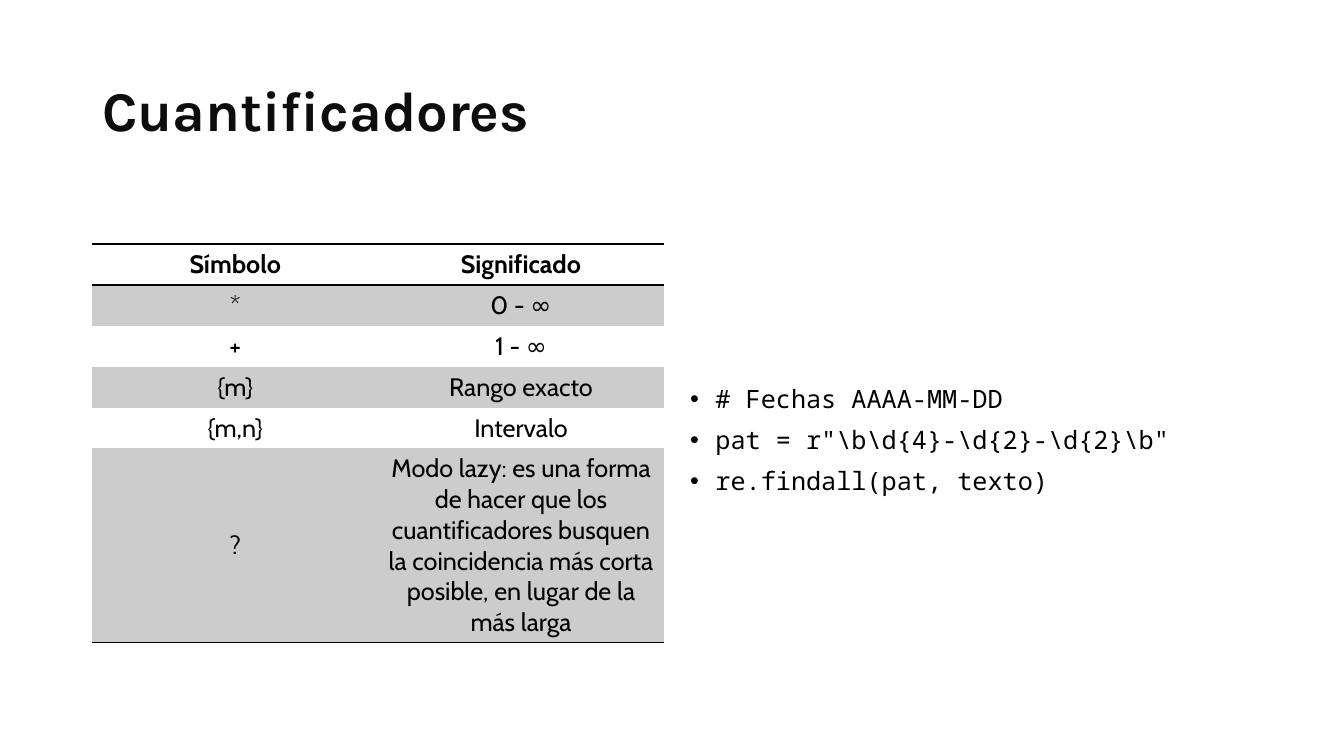
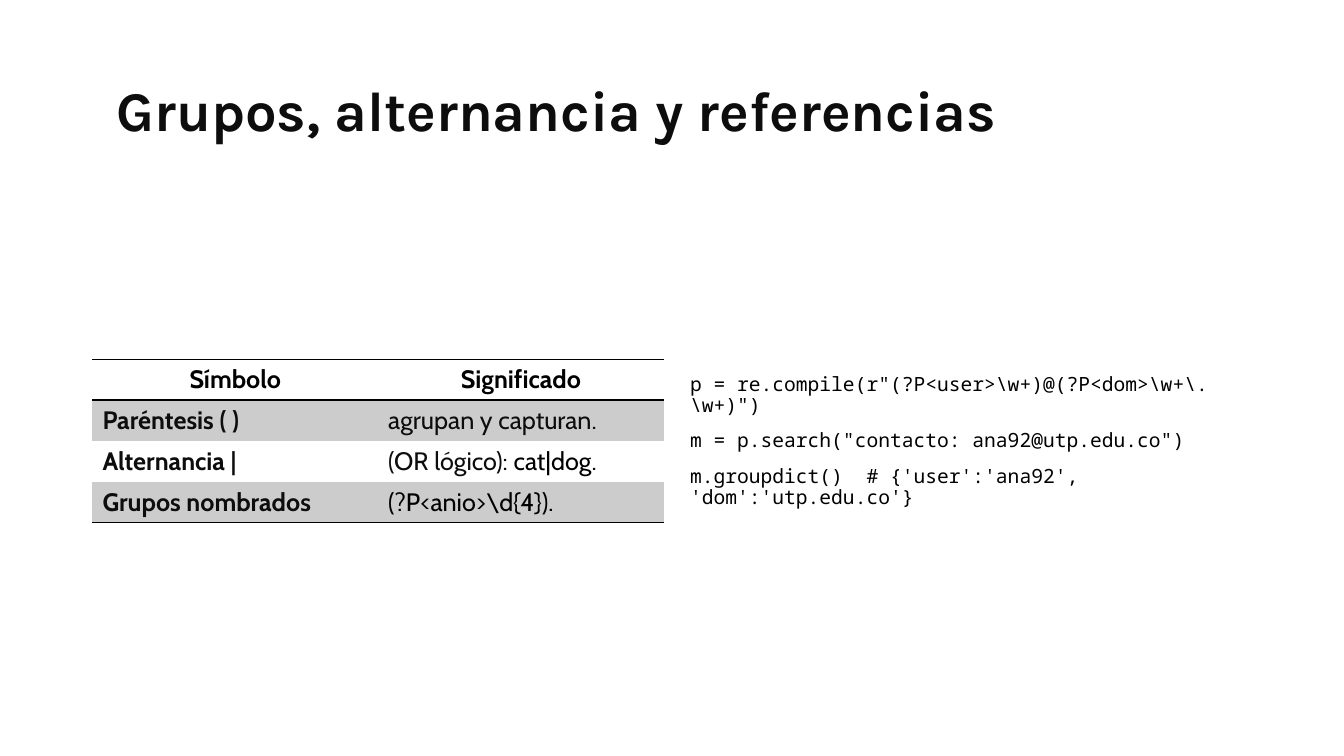
from lxml import etree
from pptx import Presentation
from pptx.dml.color import RGBColor
from pptx.enum.text import MSO_ANCHOR, PP_ALIGN
from pptx.oxml.ns import qn
from pptx.util import Cm, Pt

MID = MSO_ANCHOR.MIDDLE
LEFT, CENTER = PP_ALIGN.LEFT, PP_ALIGN.CENTER
BLACK, INK, BAND = "000000", "0D0D0D", "CCCCCC"
HEAD, TEXT, CODE = "Karla", "Cabin", "Noto Sans Mono"
PLAIN = "{2D5ABB26-0587-4C30-8999-92F81FD0307C}"
EDGE, WIDE, COL, ROW = 2.33, 29.21, 7.2, 1.03
SIDE = EDGE + WIDE - 2 * COL

SLIDES = [
    {
        "title": "Cuantificadores",
        "inset": 0.25,
        "top": 6.15,
        "last": 4.9,
        "align": CENTER,
        "bold": False,
        "ink": BLACK,
        "rows": [
            ("Símbolo", "Significado"),
            ("*", "0 - ∞"),
            ("+", "1 - ∞"),
            ("{m}", "Rango exacto"),
            ("{m,n}", "Intervalo"),
            ("?", "Modo lazy: es una forma de hacer que los cuantificadores "
                  "busquen la coincidencia más corta posible, en lugar de la "
                  "más larga"),
        ],
        "size": 18,
        "bullet": True,
        "code": [
            "# Fechas AAAA-MM-DD",
            r'pat = r"\b\d{4}-\d{2}-\d{2}\b"',
            "re.findall(pat, texto)",
        ],
    },
    {
        "title": "Grupos, alternancia y referencias",
        "inset": 0.6,
        "top": 9.05,
        "last": ROW,
        "align": LEFT,
        "bold": True,
        "ink": INK,
        "rows": [
            ("Símbolo", "Significado"),
            ("Paréntesis ( )", "agrupan y capturan."),
            ("Alternancia |", [("(OR lógico): ", INK), ("cat|dog", BLACK),
                               (".", INK)]),
            ("Grupos nombrados", [(r"(?P<anio>\d{4}).", BLACK)]),
        ],
        "size": 14,
        "bullet": False,
        "code": [
            r'p = re.compile(r"(?P<user>\w+)@(?P<dom>\w+\.\w+)")',
            'm = p.search("contacto: ana92@utp.edu.co")',
            "m.groupdict()  # {'user':'ana92', 'dom':'utp.edu.co'}",
        ],
    },
]


def color(code):
    return RGBColor.from_string(code)


def add_run(para, text, face, size, ink, bold=False):
    run = para.add_run()
    run.text = text
    font = run.font
    font.name, font.size, font.bold = face, Pt(size), bold
    font.color.rgb = color(ink)


def add_box(slide, left, top, width, height):
    box = slide.shapes.add_textbox(Cm(left), Cm(top), Cm(width), Cm(height))
    frame = box.text_frame
    frame.word_wrap = True
    frame.vertical_anchor = MID
    return frame


def add_title(slide, text, inset):
    frame = add_box(slide, EDGE, 1.02, WIDE, 3.68)
    frame.margin_left = Cm(inset)
    para = frame.paragraphs[0]
    para.line_spacing = 0.9
    add_run(para, text, HEAD, 40, INK, True)


def add_bullet(para):
    props = para._p.get_or_add_pPr()
    props.set("marL", str(Cm(0.64)))
    props.set("indent", str(-Cm(0.64)))
    etree.SubElement(props, qn("a:buFont")).set("typeface", "Arial")
    etree.SubElement(props, qn("a:buChar")).set("char", "•")


def add_code(slide, lines, size, bullet):
    frame = add_box(slide, SIDE, 5.08, COL * 2, 12.09)
    for i, line in enumerate(lines):
        para = frame.add_paragraph() if i else frame.paragraphs[0]
        if bullet:
            add_bullet(para)
        para.line_spacing = 0.9
        if i:
            para.space_before = Pt(10)
        add_run(para, line, CODE, size, BLACK)


def add_rule(cell, side):
    line = etree.SubElement(cell._tc.get_or_add_tcPr(), qn("a:" + side))
    line.set("w", str(Pt(1)))
    fill = etree.SubElement(line, qn("a:solidFill"))
    etree.SubElement(fill, qn("a:srgbClr")).set("val", BLACK)


def add_grid(slide, data):
    rows = data["rows"]
    end = len(rows) - 1
    high = ROW * end + data["last"]
    shape = slide.shapes.add_table(len(rows), 2, Cm(EDGE), Cm(data["top"]),
                                   Cm(COL * 2), Cm(high))
    table = shape.table
    table.horz_banding = False
    table._tbl.tblPr.find(qn("a:tableStyleId")).text = PLAIN
    for col in table.columns:
        col.width = Cm(COL)
    for r, row in enumerate(rows):
        table.rows[r].height = Cm(data["last"] if r == end else ROW)
        for c, parts in enumerate(row):
            cell = table.cell(r, c)
            cell.vertical_anchor = MID
            if r == 0:
                add_rule(cell, "lnT")
            if r in (0, end):
                add_rule(cell, "lnB")
            if r % 2:
                cell.fill.solid()
                cell.fill.fore_color.rgb = color(BAND)
            else:
                cell.fill.background()
            para = cell.text_frame.paragraphs[0]
            para.alignment = data["align"] if r else CENTER
            bold = r == 0 or (c == 0 and data["bold"])
            if isinstance(parts, str):
                parts = [(parts, data["ink"] if r else BLACK)]
            for text, ink in parts:
                add_run(para, text, TEXT, 18, ink, bold)


def main():
    deck = Presentation()
    deck.slide_width, deck.slide_height = Cm(33.87), Cm(19.05)
    for data in SLIDES:
        slide = deck.slides.add_slide(deck.slide_layouts[6])
        add_title(slide, data["title"], data["inset"])
        add_grid(slide, data)
        add_code(slide, data["code"], data["size"], data["bullet"])
    deck.save("out.pptx")


if __name__ == "__main__":
    main()
